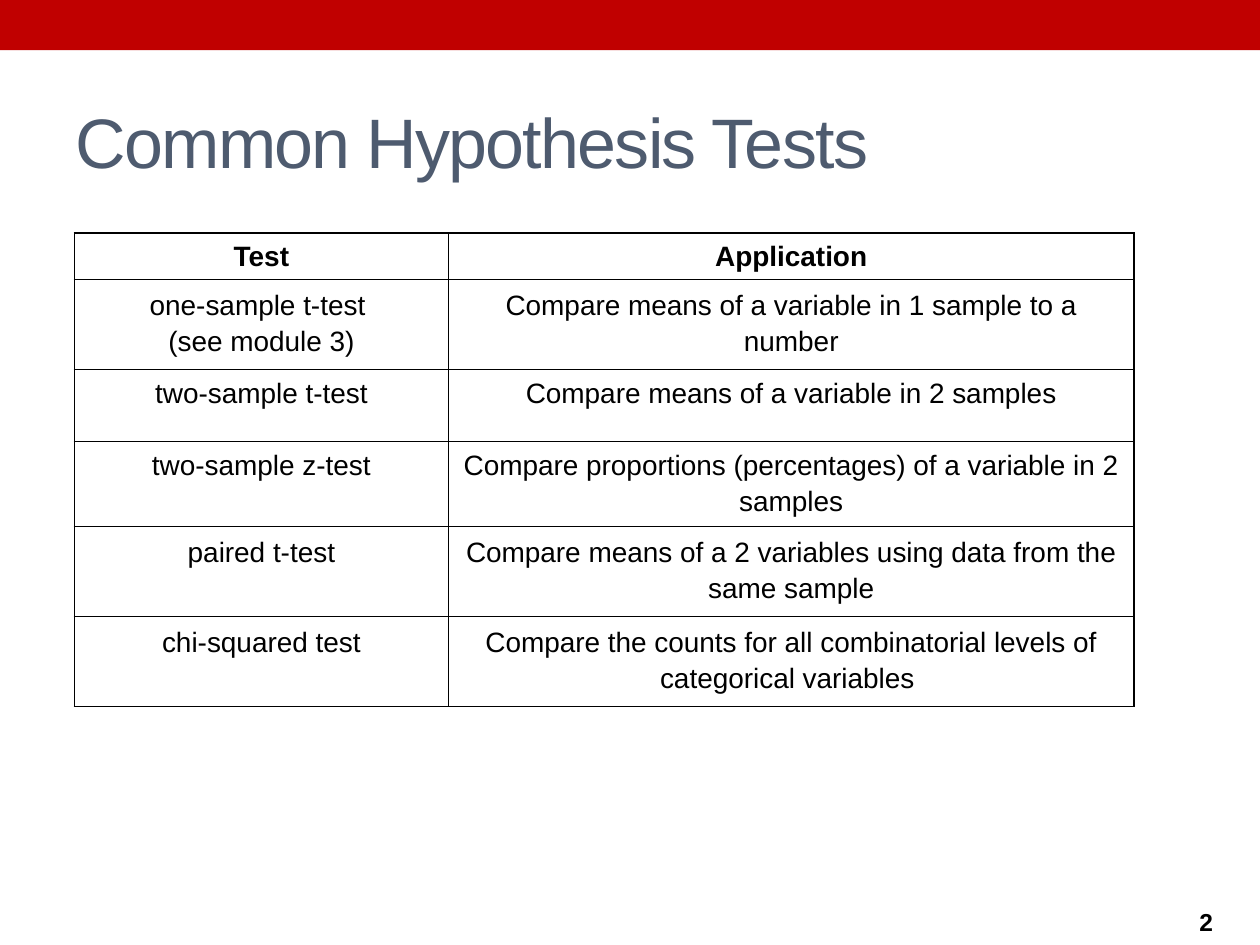
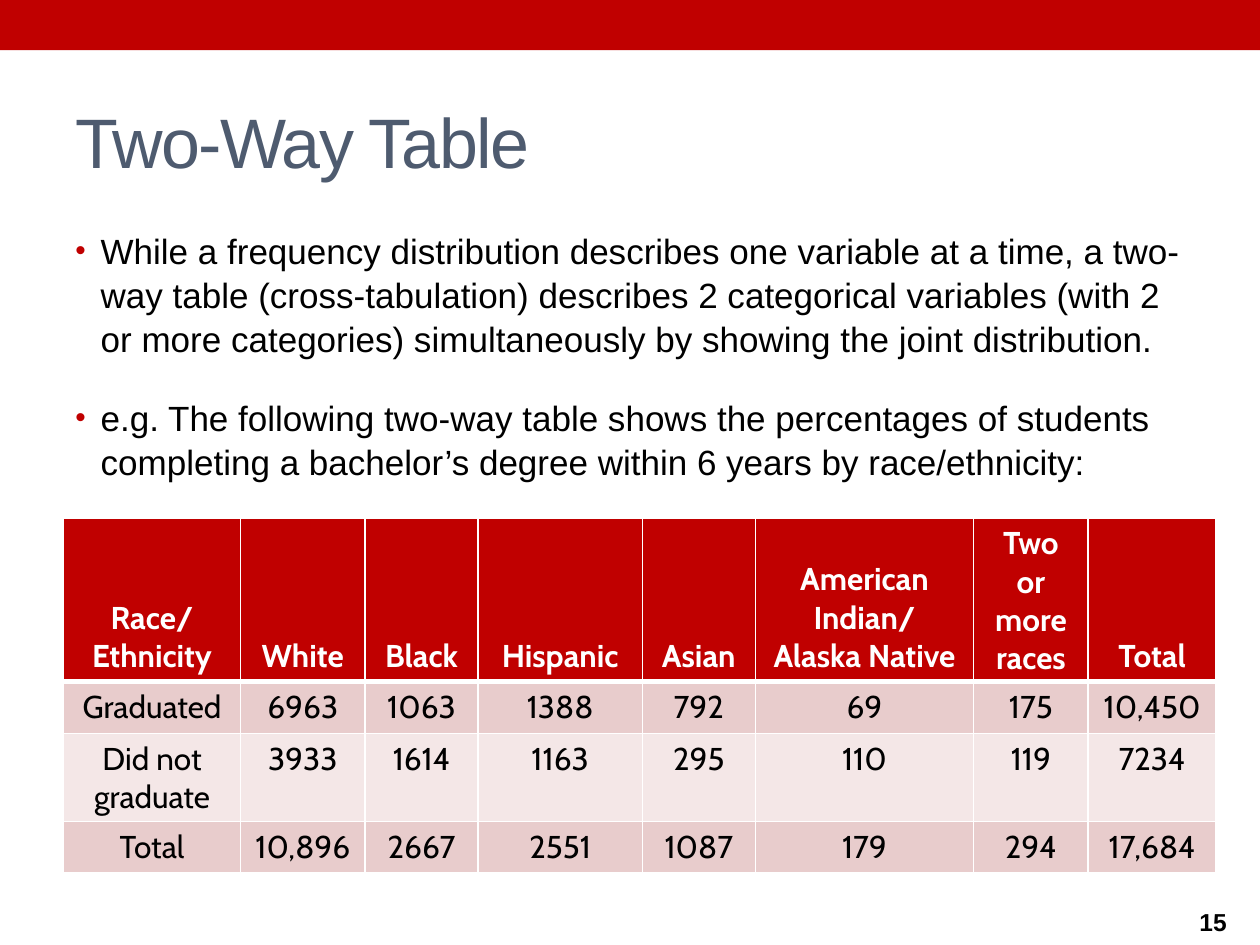
from lxml import etree
from pptx import Presentation
from pptx.dml.color import RGBColor
from pptx.enum.shapes import MSO_SHAPE
from pptx.enum.text import MSO_ANCHOR as Anchor, PP_ALIGN as Align
from pptx.oxml.ns import qn
from pptx.util import Cm, Pt

RED = RGBColor(0xC0, 0x00, 0x00)
SLATE = RGBColor(0x4E, 0x5B, 0x6F)
BLACK = RGBColor(0x00, 0x00, 0x00)
WHITE = RGBColor(0xFF, 0xFF, 0xFF)
PINK = RGBColor(0xE8, 0xCC, 0xCC)
PALE_PINK = RGBColor(0xF4, 0xE7, 0xE7)

TITLE_FONT = {"name": "Arial", "size": Pt(40), "bold": False}
NUMBER_FONT = {"name": "Arial", "size": Pt(14), "bold": True}
BODY_FONT = {"name": "Arial", "size": Pt(20)}
TESTS_FONT = {"name": "Arial", "size": Pt(16)}
COUNTS_FONT = {"name": "Cabin", "size": Pt(18)}

TIGHT_MARGINS = {"margin_left": Cm(0.13), "margin_right": Cm(0.13),
                 "margin_top": Cm(0.08), "margin_bottom": Cm(0.08)}


def write(text_frame, text, font_format, color, paragraph_format):
    """Fill a text frame, one paragraph per line of text."""
    text_frame.word_wrap = True
    text_frame.text = text
    for paragraph in text_frame.paragraphs:
        for name, value in paragraph_format.items():
            setattr(paragraph, name, value)
        for run in paragraph.runs:
            for name, value in font_format.items():
                setattr(run.font, name, value)
            run.font.color.rgb = color


def draw_borders(cell, color, top=1, bottom=1):
    """Draw the four borders of a cell; widths are in points."""
    properties = cell._tc.get_or_add_tcPr()
    for side, width in (("L", 1), ("R", 1), ("T", top), ("B", bottom)):
        line = etree.SubElement(properties, qn(f"a:ln{side}"), w=str(Pt(width)))
        fill = etree.SubElement(line, qn("a:solidFill"))
        etree.SubElement(fill, qn("a:srgbClr"), val=str(color))


presentation = Presentation()
presentation.slide_width = Cm(25.4)
presentation.slide_height = Cm(19.05)
title_only = presentation.slide_layouts[5]

# Shared frame: red band, title and slide number
slides = []
for title_text, number in (("Common Hypothesis Tests", "2"), ("Two-Way Table", "15")):
    slide = presentation.slides.add_slide(title_only)
    slides.append(slide)

    band = slide.shapes.add_shape(MSO_SHAPE.RECTANGLE, 0, 0, Cm(25.4), Cm(1.01))
    band.shadow.inherit = False
    band.fill.solid()
    band.fill.fore_color.rgb = RED
    band.line.fill.background()

    title = slide.shapes.title
    title.left, title.top, title.width, title.height = Cm(1.27), Cm(1.47), Cm(22.86), Cm(2.74)
    title.text_frame.vertical_anchor = Anchor.MIDDLE
    write(title.text_frame, title_text, TITLE_FONT, SLATE, {"alignment": Align.LEFT})
    for run in title.text_frame.paragraphs[0].runs:
        run._r.get_or_add_rPr().set("spc", "-100")

    number_box = slide.shapes.add_textbox(Cm(23.93), Cm(18.13), Cm(2.97), Cm(0.92))
    number_box.text_frame.vertical_anchor = Anchor.MIDDLE
    write(number_box.text_frame, number, NUMBER_FONT, BLACK, {})

tests_slide, two_way_slide = slides

# Slide 1: hypothesis tests and their applications
tests = [
    ("Test", "Application"),
    ("one-sample t-test \n(see module 3)",
     "Compare means of a variable in 1 sample to a number"),
    ("two-sample t-test", "Compare means of a variable in 2 samples"),
    ("two-sample z-test", "Compare proportions (percentages) of a variable in 2 samples"),
    ("paired t-test", "Compare means of a 2 variables using data from the same sample"),
    ("chi-squared test",
     "Compare the counts for all combinatorial levels of categorical variables "),
]
tight_rows = (0, 2, 3)
tests_table = tests_slide.shapes.add_table(
    len(tests), 2, Cm(1.5), Cm(4.7), Cm(21.36), Cm(7.47)).table
tests_table.first_row = tests_table.horz_banding = False
for column, width in zip(tests_table.columns, (7.54, 13.82)):
    column.width = Cm(width)
for row, height in zip(tests_table.rows, (0.84, 1.45, 1.45, 0.84, 1.45, 1.45)):
    row.height = Cm(height)
for row_index, texts in enumerate(tests):
    for column_index, text in enumerate(texts):
        cell = tests_table.cell(row_index, column_index)
        draw_borders(cell, BLACK)
        cell.fill.background()
        if row_index in tight_rows:
            for name, value in TIGHT_MARGINS.items():
                setattr(cell, name, value)
        write(cell.text_frame, text, {**TESTS_FONT, "bold": row_index == 0}, BLACK,
              {"alignment": Align.CENTER, "line_spacing": 1.15})

# Slide 2: bulleted introduction
introduction = (
    "While a frequency distribution describes one variable at a time, a two-way table "
    "(cross-tabulation) describes 2 categorical variables (with 2 or more categories) "
    "simultaneously by showing the joint distribution.\n"
    "e.g. The following two-way table shows the percentages of students completing a "
    "bachelor’s degree within 6 years by race/ethnicity:"
)
body = two_way_slide.shapes.add_textbox(Cm(1.27), Cm(4.45), Cm(22.86), Cm(5.5))
write(body.text_frame, introduction, BODY_FONT, BLACK, {"line_spacing": 1.05})
body.text_frame.paragraphs[1].space_before = Pt(20)
for paragraph in body.text_frame.paragraphs:
    properties = paragraph._p.get_or_add_pPr()
    properties.set("marL", str(Cm(0.51)))
    properties.set("indent", str(-Cm(0.51)))
    bullet_color = etree.SubElement(properties, qn("a:buClr"))
    etree.SubElement(bullet_color, qn("a:srgbClr"), val=str(RED))
    etree.SubElement(properties, qn("a:buSzPct"), val="85000")
    etree.SubElement(properties, qn("a:buFont"), typeface="Arial")
    etree.SubElement(properties, qn("a:buChar"), char="•")

# Slide 2: graduation counts by race and ethnicity
counts = [
    ("Race/\nEthnicity", "White", "Black", "Hispanic", "Asian",
     "American Indian/\nAlaska Native", "Two or more races", "Total"),
    ("Graduated", "6963", "1063", "1388", "792", "69", "175", "10,450"),
    ("Did not graduate", "3933", "1614", "1163", "295", "110", "119", "7234"),
    ("Total", "10,896", "2667", "2551", "1087", "179", "294", "17,684"),
]
row_fills = (RED, PINK, PALE_PINK, PINK)
counts_table = two_way_slide.shapes.add_table(
    len(counts), len(counts[0]), Cm(1.28), Cm(10.44), Cm(23.24), Cm(4.32)).table
for column, width in zip(counts_table.columns,
                         (3.57, 2.51, 2.28, 3.31, 2.28, 4.4, 2.31, 2.58)):
    column.width = Cm(width)
for row, height in zip(counts_table.rows, (1.19, 1.04, 1.04, 1.04)):
    row.height = Cm(height)
for row_index, texts in enumerate(counts):
    is_header = row_index == 0
    for column_index, text in enumerate(texts):
        cell = counts_table.cell(row_index, column_index)
        draw_borders(cell, WHITE, top=3 if row_index == 1 else 1,
                     bottom=3 if is_header else 1)
        cell.fill.solid()
        cell.fill.fore_color.rgb = row_fills[row_index]
        cell.vertical_anchor = Anchor.BOTTOM if is_header else Anchor.TOP
        write(cell.text_frame, text, {**COUNTS_FONT, "bold": is_header},
              WHITE if is_header else BLACK, {"alignment": Align.CENTER})

presentation.save("out.pptx")
